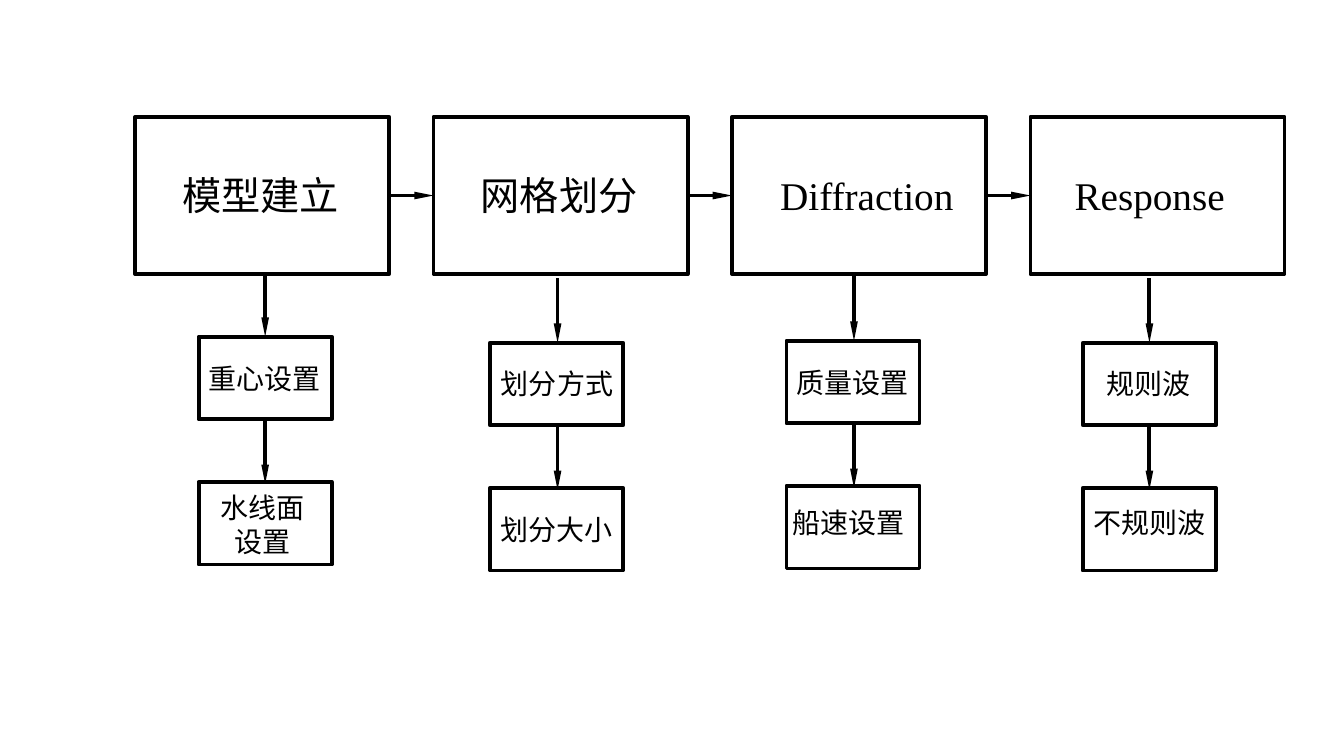
"""Builds a four-stage hydrodynamic analysis flowchart on one slide."""
import pptx
import pptx.util
import pptx.dml.color
import pptx.enum.shapes
import pptx.enum.text
import pptx.oxml
import pptx.oxml.ns
from pptx.util import Inches

CHINESE = "Noto Sans CJK SC"
LATIN = "Times New Roman"
LEFT = pptx.enum.text.PP_ALIGN.LEFT
CENTER = pptx.enum.text.PP_ALIGN.CENTER


def color(value):
    """Turn a hex string into a colour."""
    return pptx.dml.color.RGBColor.from_string(value)


class Flowchart:
    """Holds the style and the current slide."""

    ink = "000000"
    weight = 2.75

    def __init__(self, slide):
        """Keep the slide to draw on."""
        self.slide = slide

    def box(self, left, top, width, height):
        """Draw an outlined rectangle without fill."""
        box = self.slide.shapes.add_shape(
            pptx.enum.shapes.MSO_SHAPE.RECTANGLE,
            Inches(left), Inches(top), Inches(width), Inches(height))
        box.shadow.inherit = False
        box.fill.background()
        box.line.color.rgb = color(self.ink)
        box.line.width = pptx.util.Pt(self.weight)

    def label(self, text, left, top, width, height, size, font=CHINESE, align=LEFT):
        """Place unwrapped text."""
        box = self.slide.shapes.add_textbox(
            Inches(left), Inches(top), Inches(width), Inches(height))
        frame = box.text_frame
        frame.word_wrap = False
        frame.auto_size = pptx.enum.text.MSO_AUTO_SIZE.SHAPE_TO_FIT_TEXT
        frame.text = text
        for para in frame.paragraphs:
            para.alignment = align
            for span in para.runs:
                span.font.size = pptx.util.Pt(size)
                span.font.name = font
                span.font.color.rgb = color(self.ink)
                east_asian = pptx.oxml.ns.qn("a:ea")
                span.font._element.get_or_add_latin().addnext(
                    span.font._element.makeelement(east_asian, {"typeface": font}))

    def arrow(self, start_x, start_y, end_x, end_y):
        """Draw a straight arrow with a slim head."""
        arrow = self.slide.shapes.add_connector(
            pptx.enum.shapes.MSO_CONNECTOR.STRAIGHT,
            Inches(start_x), Inches(start_y), Inches(end_x), Inches(end_y))
        arrow.line.color.rgb = color(self.ink)
        arrow.line.width = pptx.util.Pt(self.weight)
        head = pptx.oxml.ns.qn("a:tailEnd")
        arrow.line._get_or_add_ln().append(arrow._element.makeelement(
            head, {"type": "triangle", "w": "sm", "len": "lg"}))
        effects = pptx.oxml.ns.qn("a:effectLst")
        arrow._element.spPr.append(arrow._element.makeelement(effects, {}))


STAGE_LEFT, STAGE_TOP, STAGE_WIDTH, STAGE_HEIGHT = 1.34, 1.16, 2.52, 1.56
STAGE_PITCH = 2.96
STEP_WIDTH, STEP_HEIGHT, STEP_PITCH = 1.32, 0.82, 1.44
ARROW_LENGTH = 0.64

stages = [
    ("模型建立", 1.71, 1.77, CHINESE),
    ("网格划分", 4.67, 1.77, CHINESE),
    ("Diffraction", 7.64, 1.94, LATIN),
    ("Response", 10.56, 1.7, LATIN),
]
columns = [
    (1.97, 3.34, 2.63, [("重心设置", 1.97, 3.54, 1.32, 0.44, LEFT),
                        ("水线面\n设置", 2.08, 4.82, 1.04, 0.77, CENTER)]),
    (4.86, 3.4, 5.53, [("划分方式", 4.87, 3.59, 1.32, 0.44, LEFT),
                       ("划分大小", 4.86, 5.04, 1.32, 0.44, CENTER)]),
    (7.8, 3.38, 8.47, [("质量设置", 7.8, 3.58, 1.32, 0.44, LEFT),
                       ("船速设置", 7.76, 4.97, 1.32, 0.44, CENTER)]),
    (10.74, 3.4, 11.4, [("规则波", 10.88, 3.59, 1.04, 0.44, LEFT),
                        ("不规则波", 10.74, 4.97, 1.32, 0.44, CENTER)]),
]

deck = pptx.Presentation()
deck.slide_width, deck.slide_height = Inches(13.33), Inches(7.5)
chart = Flowchart(deck.slides.add_slide(deck.slide_layouts[6]))

for index, (name, text_left, text_width, font) in enumerate(stages):
    left = STAGE_LEFT + index * STAGE_PITCH
    chart.box(left, STAGE_TOP, STAGE_WIDTH, STAGE_HEIGHT)
    chart.label(name, text_left, 1.65, text_width, 0.57, 28, font)
    if index < len(stages) - 1:
        middle = STAGE_TOP + STAGE_HEIGHT / 2
        chart.arrow(left + STAGE_WIDTH, middle, left + STAGE_PITCH, middle)

for left, top, arrow_x, steps in columns:
    for row, (name, text_left, text_top, width, height, align) in enumerate(steps):
        step_top = top + row * STEP_PITCH
        chart.box(left, step_top, STEP_WIDTH, STEP_HEIGHT)
        chart.label(name, text_left, text_top, width, height, 20, align=align)
    for arrow_top in (top - ARROW_LENGTH, top + STEP_HEIGHT):
        chart.arrow(arrow_x, arrow_top, arrow_x, arrow_top + ARROW_LENGTH)

deck.save("out.pptx")
